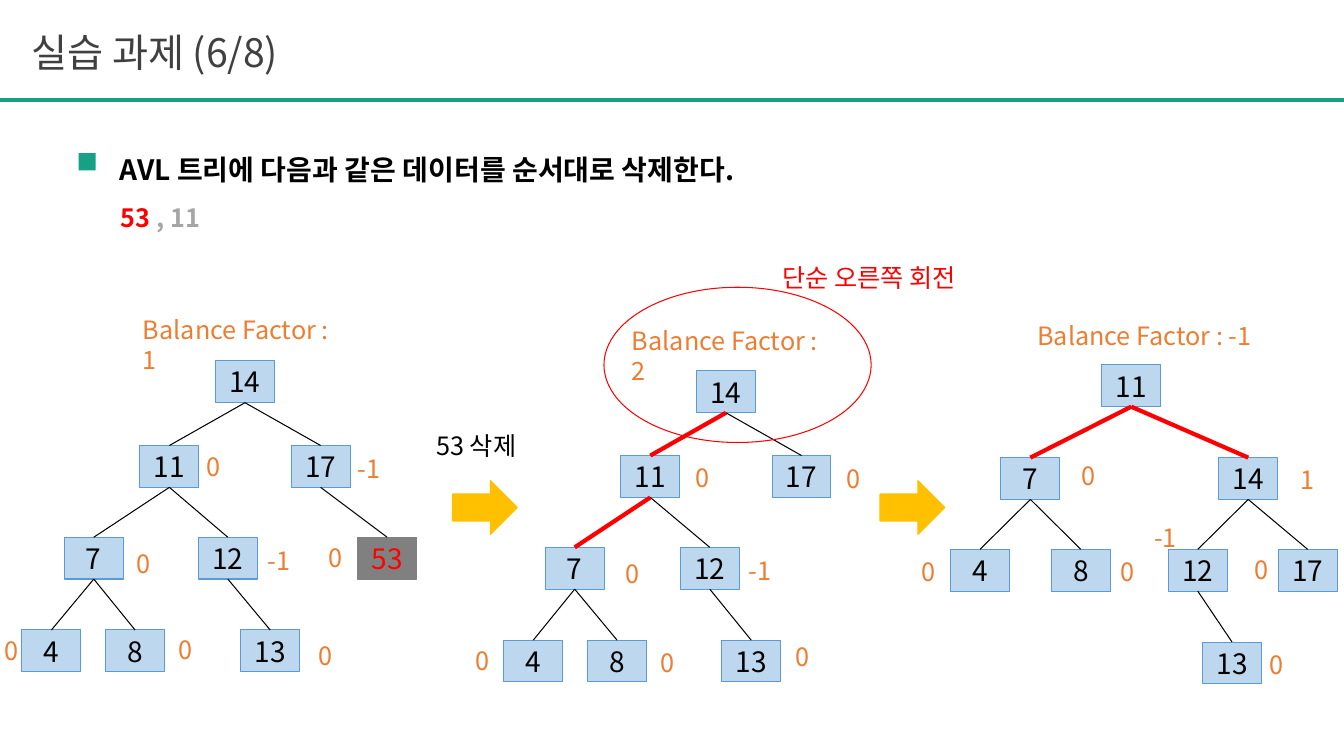
"""Build the AVL tree deletion exercise slide."""
from dataclasses import dataclass

from lxml import etree
from pptx import Presentation
from pptx import util as u
from pptx.dml import color
from pptx.enum import shapes, text
from pptx.oxml import ns

FONT = "Noto Sans CJK KR"
ORANGE, RED, BLACK, GREEN, GOLD = "ED7D31", "FF0000", "000000", "16A085", "FFC000"
NODE_W, NODE_H = 0.585, 0.415


@dataclass
class Node:
    """A tree node with its centre, row, parent and balance label."""
    key: str
    x: float
    row: int
    parent: str = ""
    factor: str = "0"
    fx: float = 0
    fy: float = 0
    hot: bool = False


@dataclass
class Label:
    """A free line of text."""
    words: str
    x: float
    y: float
    w: float
    hue: str = BLACK


def rgb(value: str) -> color.RGBColor:
    """Return the colour of a hex string."""
    return color.RGBColor.from_string(value)


def assign(target, values: dict) -> None:
    """Set every attribute listed in a dict of format values."""
    for name, value in values.items():
        setattr(target, name, value)


def add_run(p, words: str, size: float, hue: str, bold: bool = False) -> None:
    """Append a formatted run to a paragraph."""
    r = p.add_run()
    r.text = words
    assign(r.font, {"name": FONT, "size": u.Pt(size), "bold": bold})
    r.font.color.rgb = rgb(hue)
    etree.SubElement(r.font._element, ns.qn("a:ea"), typeface=FONT)


def add_text(s, x: float, y: float, w: float, h: float = 0.4, wrap: bool = False):
    """Add a text box and return its first paragraph."""
    tf = s.shapes.add_textbox(*map(u.Inches, (x, y, w, h))).text_frame
    assign(tf, {"word_wrap": wrap, "auto_size": text.MSO_AUTO_SIZE.SHAPE_TO_FIT_TEXT})
    return tf.paragraphs[0]


def add_label(s, label: Label, wrap: bool = False) -> None:
    """Draw an 18 point label."""
    p = add_text(s, label.x, label.y, label.w, wrap=wrap)
    add_run(p, label.words, 18, label.hue)


def add_shape(s, kind, box: tuple, fill: str = "", line: str = "", width: float = 0.75):
    """Add a preset shape with an optional fill and outline."""
    sp = s.shapes.add_shape(kind, *map(u.Inches, box))
    sp.shadow.inherit = False
    if fill:
        sp.fill.solid()
        sp.fill.fore_color.rgb = rgb(fill)
    else:
        sp.fill.background()
    if line:
        sp.line.color.rgb = rgb(line)
        sp.line.width = u.Pt(width)
    else:
        sp.line.fill.background()
    return sp


def add_line(s, ends: tuple, hue: str, width: float):
    """Add a straight connector between two points."""
    c = s.shapes.add_connector(shapes.MSO_CONNECTOR.STRAIGHT, *map(u.Inches, ends))
    c.line.color.rgb = rgb(hue)
    c.line.width = u.Pt(width)
    etree.SubElement(c.element.spPr, ns.qn("a:effectLst"))
    return c


def add_node(s, node: Node, top: float):
    """Draw one tree node, greyed out when it is being deleted."""
    fill, line, hue = ("808080", "808080", RED) if node.key == "53" else ("BDD7EE", "5B9BD5", BLACK)
    box = (node.x - NODE_W / 2, top, NODE_W, NODE_H)
    sp = add_shape(s, shapes.MSO_SHAPE.RECTANGLE, box, fill, line)
    tf = sp.text_frame
    assign(tf, {"word_wrap": False, "vertical_anchor": text.MSO_ANCHOR.MIDDLE})
    tf.paragraphs[0].alignment = text.PP_ALIGN.CENTER
    add_run(tf.paragraphs[0], node.key, 20, hue)
    return sp


def add_tree(s, rows: tuple, nodes: list[Node]) -> None:
    """Draw the nodes, edges and balance factors of a tree."""
    boxes = {n.key: add_node(s, n, rows[n.row]) for n in nodes}
    for n in nodes:
        if n.parent:
            c = add_line(s, (0, 0, 1, 1), RED if n.hot else BLACK, 3 if n.hot else 0.75)
            c.begin_connect(boxes[n.parent], 2)
            c.end_connect(boxes[n.key], 0)
            add_label(s, Label(n.factor, n.fx, n.fy, 0.24 + 0.1 * len(n.factor), ORANGE))


BEFORE = [
    Node("14", 2.43, 0),
    Node("11", 1.68, 1, "14", "0", 1.95, 4.43),
    Node("17", 3.18, 1, "14", "-1", 3.45, 4.45),
    Node("7", 0.93, 2, "11", "0", 1.26, 5.39),
    Node("12", 2.26, 2, "11", "-1", 2.56, 5.36),
    Node("53", 3.84, 2, "17", "0", 3.16, 5.33),
    Node("4", 0.51, 3, "7", "0", -0.05, 6.25),
    Node("8", 1.34, 3, "7", "0", 1.67, 6.24),
    Node("13", 2.68, 3, "12", "0", 3.06, 6.3),
]
DELETED = [
    Node("14", 7.2, 0),
    Node("17", 7.95, 1, "14", "0", 8.3, 4.55),
    Node("11", 6.45, 1, "14", "0", 6.8, 4.54, True),
    Node("12", 7.04, 2, "11", "-1", 7.33, 5.46),
    Node("7", 5.7, 2, "11", "0", 6.11, 5.49, True),
    Node("4", 5.29, 3, "7", "0", 4.62, 6.35),
    Node("8", 6.12, 3, "7", "0", 6.45, 6.37),
    Node("13", 7.45, 3, "12", "0", 7.79, 6.31),
]
ROTATED = [
    Node("11", 11.22, 0),
    Node("7", 10.22, 1, "11", "0", 10.63, 4.52, True),
    Node("14", 12.38, 1, "11", "1", 12.8, 4.56, True),
    Node("4", 9.72, 2, "7", "0", 9.04, 5.47),
    Node("8", 10.72, 2, "7", "0", 11.02, 5.47),
    Node("12", 11.88, 2, "14", "-1", 11.35, 5.13),
    Node("17", 12.97, 2, "14", "0", 12.34, 5.45),
    Node("13", 12.22, 3, "12", "0", 12.49, 6.39),
]

prs = Presentation()
assign(prs, {"slide_width": u.Inches(13.33), "slide_height": u.Inches(7.5)})
s = prs.slides.add_slide(prs.slide_layouts[5])

title = s.shapes.title
assign(title, {"left": u.Inches(0.21), "top": u.Inches(0.23),
               "width": u.Inches(10.15), "height": u.Inches(0.57)})
assign(title.text_frame, {"vertical_anchor": text.MSO_ANCHOR.TOP, "word_wrap": True,
                          "auto_size": text.MSO_AUTO_SIZE.NONE})
p = title.text_frame.paragraphs[0]
p.alignment = text.PP_ALIGN.LEFT
add_run(p, "실습 과제 (6/8)", 28, "404040")
add_line(s, (0, 0.99, 13.33, 0.99), GREEN, 3)

p = add_text(s, 1.09, 1.13, 7, 0.77)
assign(p, {"line_spacing": 2.0, "alignment": text.PP_ALIGN.JUSTIFY})
add_run(p, "AVL 트리에 다음과 같은 데이터를 순서대로 삭제한다.", 20, BLACK, True)
add_shape(s, shapes.MSO_SHAPE.RECTANGLE, (0.78, 1.52, 0.17, 0.17), GREEN)
p = add_text(s, 1.1, 1.96, 1.03)
add_run(p, "53 ", 18, RED, True)
add_run(p, ", 11", 18, "A5A5A5", True)

add_tree(s, (3.58, 4.42, 5.33, 6.25), BEFORE)
add_tree(s, (3.68, 4.52, 5.43, 6.35), DELETED)
add_tree(s, (3.62, 4.54, 5.45, 6.37), ROTATED)

for x in (4.49, 8.73):
    add_shape(s, shapes.MSO_SHAPE.RIGHT_ARROW, (x, 4.77, 0.64, 0.53), GOLD, GOLD, 1)
add_shape(s, shapes.MSO_SHAPE.OVAL, (5.99, 2.85, 2.65, 1.54), line=RED)

for label in (Label("Balance Factor : 1", 1.32, 3.07, 2.2, ORANGE),
              Label("Balance Factor : 2", 6.17, 3.18, 2.2, ORANGE)):
    add_label(s, label, wrap=True)
for label in (Label("Balance Factor : -1", 10.19, 3.13, 2.33, ORANGE),
              Label("53 삭제", 4.23, 4.22, 1.07),
              Label("단순 오른쪽 회전", 7.66, 2.55, 2.15, RED)):
    add_label(s, label)

prs.save("out.pptx")
